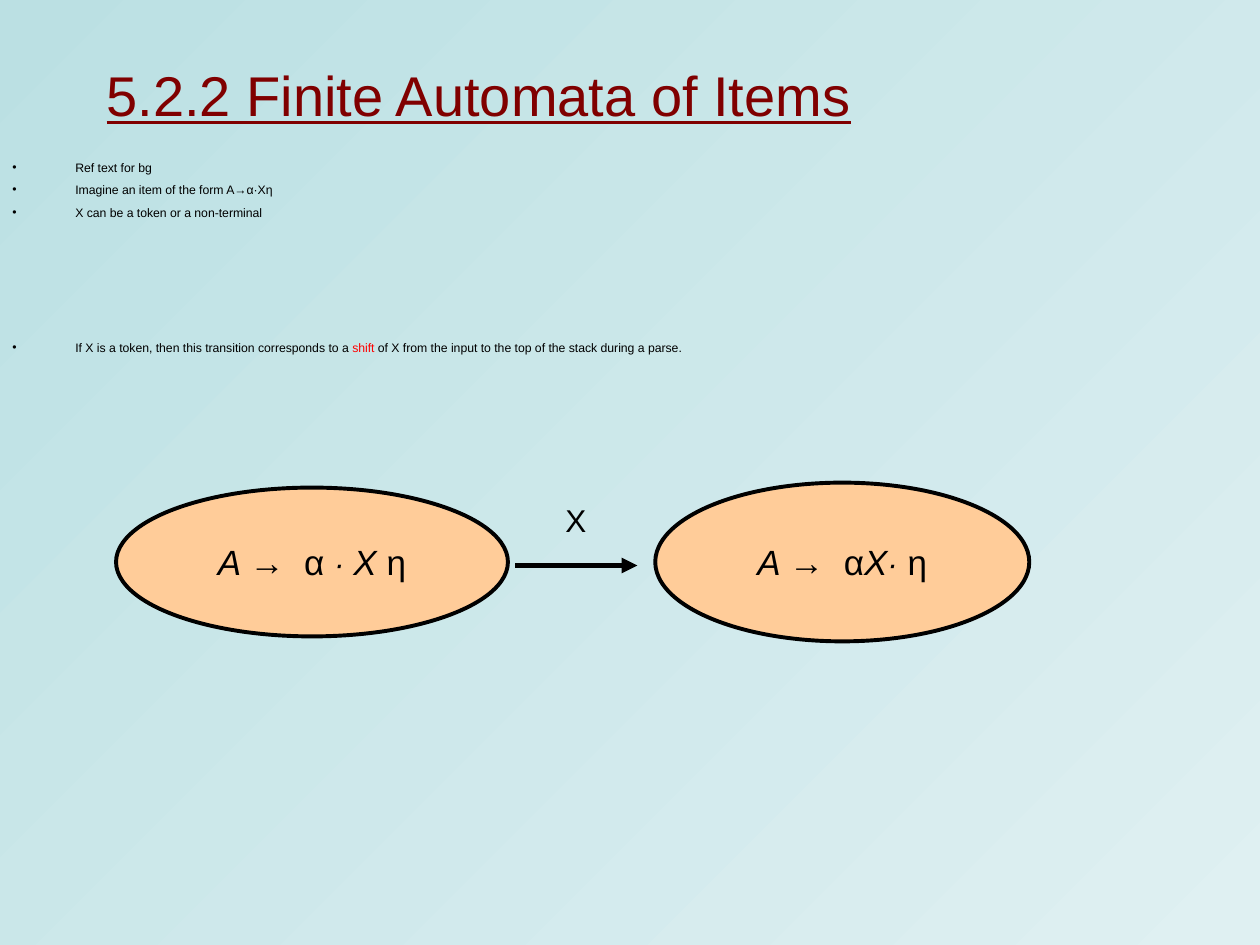
import lxml.etree
import pptx
import pptx.dml.color
import pptx.enum.shapes
import pptx.enum.text
import pptx.oxml.ns
import pptx.util

Cm = pptx.util.Cm
Pt = pptx.util.Pt
RGBColor = pptx.dml.color.RGBColor
Anchor = pptx.enum.text.MSO_ANCHOR
Align = pptx.enum.text.PP_ALIGN
qn = pptx.oxml.ns.qn

BLACK = RGBColor(0x00, 0x00, 0x00)
RED = RGBColor(0xFF, 0x00, 0x00)
MAROON = RGBColor(0x80, 0x00, 0x00)
PEACH = RGBColor(0xFF, 0xCC, 0x99)
TEAL = RGBColor(0xBB, 0xE0, 0xE3)
PALE_TEAL = RGBColor(0xDF, 0xF0, 0xF2)

BULLETS = [
    (7, [("Ref text for bg", BLACK)]),
    (7, [("Imagine an item of the form A→α·Xη", BLACK)]),
    (7, [("X can be a token or a non-terminal", BLACK)]),
    (71.5, [
        ("If X is a token, then this transition corresponds to a ", BLACK),
        ("shift", RED),
        (" of X from the input to the top of the stack during a parse.", BLACK),
    ]),
]
ITEM_BEFORE = [("A →  ", 20, True), ("α ", 20, False), ("· ", 18, True),
               ("X ", 20, True), ("η", 20, False)]
ITEM_AFTER = [("A →  ", 20, True), ("α", 20, False), ("X", 20, True),
              ("·", 18, True), (" η", 20, False)]


def paint_background(page):
    fill = page.background.fill
    fill.gradient()
    fill.gradient_angle = 315
    for stop, color, position in zip(fill.gradient_stops, (TEAL, PALE_TEAL), (0, 1)):
        stop.color.rgb = color
        stop.position = position


def add_span(para, text, size, color=BLACK, italic=False):
    span = para.add_run()
    span.text = text
    span.font.name = "Arial"
    span.font.size = Pt(size)
    span.font.color.rgb = color
    span.font.italic = italic
    return span


def add_text_box(page, left, top, width, height, wrap=True):
    box = page.shapes.add_textbox(Cm(left), Cm(top), Cm(width), Cm(height))
    box.text_frame.word_wrap = wrap
    return box.text_frame


def add_title(page, text):
    frame = add_text_box(page, 1.9, 1.27, 21.59, 1.27)
    frame.vertical_anchor = Anchor.MIDDLE
    add_span(frame.paragraphs[0], text, 32, MAROON).font.underline = True


def add_bullet_mark(para):
    properties = para._p.get_or_add_pPr()
    properties.set("marL", str(Cm(1.27)))
    properties.set("indent", str(Cm(-1.27)))
    color = lxml.etree.SubElement(properties, qn("a:buClr"))
    lxml.etree.SubElement(color, qn("a:srgbClr")).set("val", str(BLACK))
    lxml.etree.SubElement(properties, qn("a:buFont")).set("typeface", "Arial")
    lxml.etree.SubElement(properties, qn("a:buChar")).set("char", "•")


def add_bullets(page, bullets):
    frame = add_text_box(page, 0, 3.18, 24.77, 5.28)
    for index, (space_before, spans) in enumerate(bullets):
        para = frame.add_paragraph() if index else frame.paragraphs[0]
        para.alignment = Align.JUSTIFY
        para.line_spacing = 0.7
        para.space_before = Pt(space_before)
        add_bullet_mark(para)
        for text, color in spans:
            add_span(para, text, 7, color)


def add_state(page, left, top, width, height, spans):
    state = page.shapes.add_shape(
        pptx.enum.shapes.MSO_SHAPE.OVAL, Cm(left), Cm(top), Cm(width), Cm(height))
    state.shadow.inherit = False
    state.fill.solid()
    state.fill.fore_color.rgb = PEACH
    state.line.color.rgb = BLACK
    state.line.width = Pt(2.25)
    frame = state.text_frame
    frame.word_wrap = False
    frame.vertical_anchor = Anchor.MIDDLE
    para = frame.paragraphs[0]
    para.alignment = Align.CENTER
    for text, size, italic in spans:
        add_span(para, text, size, italic=italic)


def add_arrow(page, left, right, y):
    arrow = page.shapes.add_connector(
        pptx.enum.shapes.MSO_CONNECTOR.STRAIGHT, Cm(left), Cm(y), Cm(right), Cm(y))
    arrow.line.color.rgb = BLACK
    arrow.line.width = Pt(3)
    line = arrow.line._get_or_add_ln()
    lxml.etree.SubElement(line, qn("a:tailEnd")).set("type", "triangle")
    lxml.etree.SubElement(arrow._element.spPr, qn("a:effectLst"))


def add_label(page, left, top, width, height, text):
    frame = add_text_box(page, left, top, width, height, wrap=False)
    add_span(frame.paragraphs[0], text, 18)


def main():
    deck = pptx.Presentation()
    deck.slide_width = Cm(25.4)
    deck.slide_height = Cm(19.05)
    page = deck.slides.add_slide(deck.slide_layouts[6])
    paint_background(page)
    add_title(page, "5.2.2 Finite Automata of Items")
    add_bullets(page, BULLETS)
    add_state(page, 2.34, 9.83, 7.9, 3, ITEM_BEFORE)
    add_state(page, 13.21, 9.73, 7.54, 3.2, ITEM_AFTER)
    add_arrow(page, 10.39, 12.85, 11.4)
    add_label(page, 11.15, 9.98, 0.91, 1.02, "X")
    deck.save("out.pptx")


if __name__ == "__main__":
    main()
